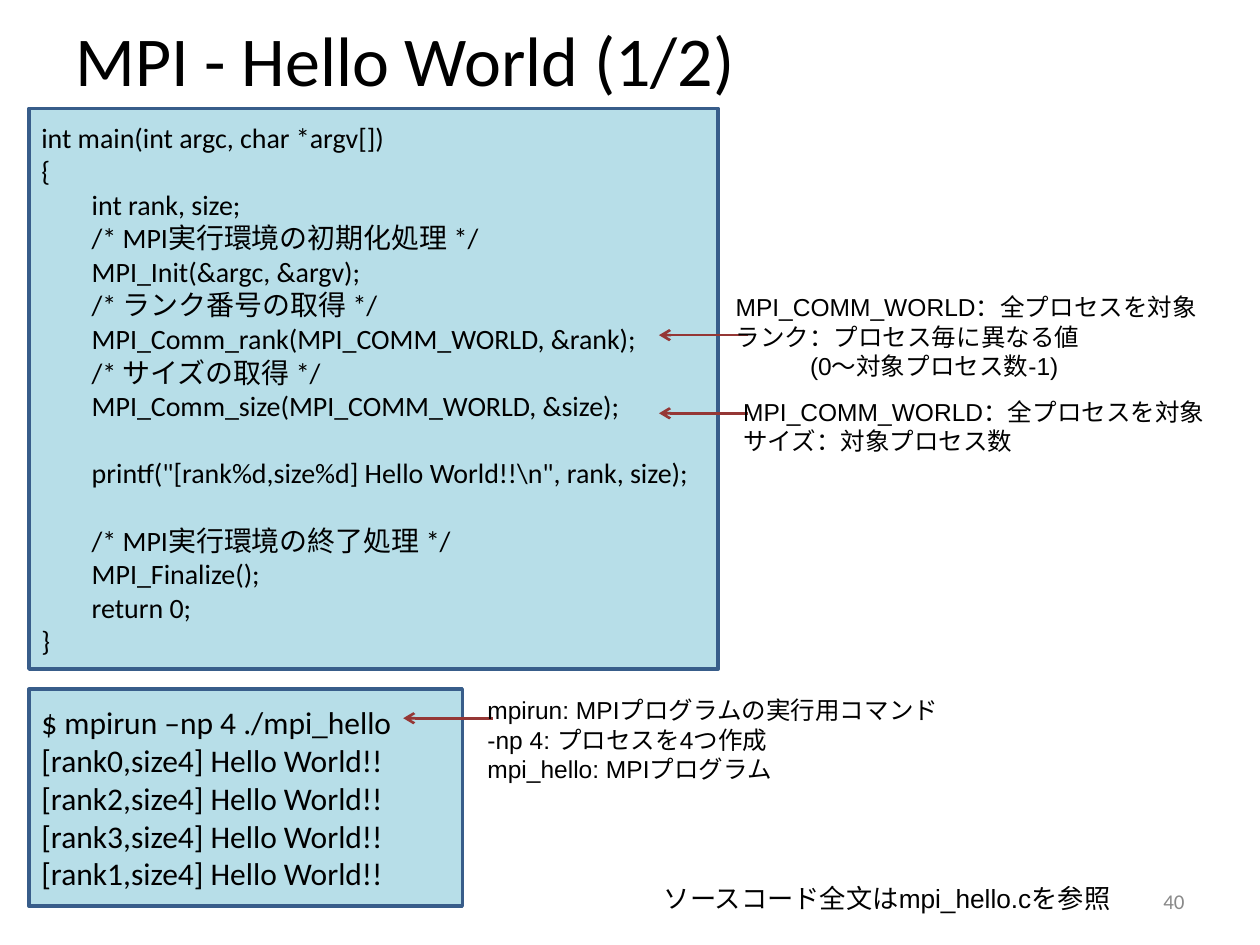
from pptx import Presentation
from pptx.dml.color import RGBColor
from pptx.enum.shapes import MSO_CONNECTOR as Connector, MSO_SHAPE as Shape
from pptx.enum.text import MSO_ANCHOR as Anchor, MSO_AUTO_SIZE as AutoSize, PP_ALIGN as Align
from pptx.oxml.ns import qn
from pptx.util import Inches, Pt
from lxml.etree import SubElement

BLACK = RGBColor(0x00, 0x00, 0x00)
GRAY = RGBColor(0x89, 0x89, 0x89)
PALE_BLUE = RGBColor(0xB7, 0xDE, 0xE8)
BORDER_BLUE = RGBColor(0x38, 0x5D, 0x8A)
DARK_RED = RGBColor(0x95, 0x37, 0x35)

SOURCE_CODE = r"""int main(int argc, char *argv[])
{
        int rank, size;
        /* MPI実行環境の初期化処理 */
        MPI_Init(&argc, &argv);
        /* ランク番号の取得 */
        MPI_Comm_rank(MPI_COMM_WORLD, &rank);
        /* サイズの取得 */
        MPI_Comm_size(MPI_COMM_WORLD, &size);

        printf("[rank%d,size%d] Hello World!!\n", rank, size);

        /* MPI実行環境の終了処理 */
        MPI_Finalize();
        return 0;
}"""

CONSOLE = """$ mpirun –np 4 ./mpi_hello
[rank0,size4] Hello World!!
[rank2,size4] Hello World!!
[rank3,size4] Hello World!!
[rank1,size4] Hello World!!"""

RANK_NOTE = """MPI_COMM_WORLD：全プロセスを対象
ランク：プロセス毎に異なる値
(0～対象プロセス数-1)"""

SIZE_NOTE = """MPI_COMM_WORLD：全プロセスを対象
サイズ：対象プロセス数"""

RUN_NOTE = """mpirun: MPIプログラムの実行用コマンド
-np 4: プロセスを4つ作成
mpi_hello: MPIプログラム"""


def write_lines(frame, text, size, font="Calibri", color=BLACK, align=Align.LEFT):
    for index, line in enumerate(text.split("\n")):
        para = frame.paragraphs[0] if index == 0 else frame.add_paragraph()
        para.text = line
        para.alignment = align
        para.font.size = Pt(size)
        para.font.name = font
        para.font.color.rgb = color


def add_code_box(slide, left, top, width, height, text, size):
    box = slide.shapes.add_shape(
        Shape.RECTANGLE, Inches(left), Inches(top), Inches(width), Inches(height))
    box.shadow.inherit = False
    box.fill.solid()
    box.fill.fore_color.rgb = PALE_BLUE
    box.line.color.rgb = BORDER_BLUE
    box.line.width = Pt(2)
    box.text_frame.vertical_anchor = Anchor.MIDDLE
    write_lines(box.text_frame, text, size)


def add_label(slide, left, top, width, height, text, size, **style):
    box = slide.shapes.add_textbox(
        Inches(left), Inches(top), Inches(width), Inches(height))
    frame = box.text_frame
    frame.word_wrap = True
    frame.vertical_anchor = Anchor.MIDDLE
    write_lines(frame, text, size, **style)


def add_note(slide, left, top, width, height, text, size=14):
    box = slide.shapes.add_textbox(
        Inches(left), Inches(top), Inches(width), Inches(height))
    frame = box.text_frame
    frame.word_wrap = False
    frame.auto_size = AutoSize.SHAPE_TO_FIT_TEXT
    write_lines(frame, text, size, font="Arial")
    return frame


def indent(para, distance):
    para._p.get_or_add_pPr().set("marL", str(Inches(distance)))


def add_arrow(slide, tip, y, length=0.71):
    arrow = slide.shapes.add_connector(
        Connector.STRAIGHT, Inches(tip + length), Inches(y), Inches(tip), Inches(y))
    arrow.line.color.rgb = DARK_RED
    arrow.line.width = Pt(1.5)
    SubElement(arrow.line._get_or_add_ln(), qn("a:tailEnd"), type="arrow")
    SubElement(arrow._element.spPr, qn("a:effectLst"))


def main():
    deck = Presentation()
    deck.slide_width, deck.slide_height = Inches(10), Inches(7.5)
    slide = deck.slides.add_slide(deck.slide_layouts[6])

    add_code_box(slide, 0.23, 5.47, 3.44, 1.72, CONSOLE, 18)
    add_code_box(slide, 0.23, 0.86, 5.47, 4.45, SOURCE_CODE, 16)
    add_label(slide, 0.5, 0, 9, 0.93, "MPI - Hello World (1/2)", 40)
    add_label(slide, 7.17, 6.95, 2.33, 0.4, "40", 12, color=GRAY, align=Align.RIGHT)

    for tip, y in ((5.23, 2.66), (5.23, 3.28), (3.2, 5.7)):
        add_arrow(slide, tip, y)

    rank_frame = add_note(slide, 5.74, 2.27, 3.91, 0.8, RANK_NOTE)
    indent(rank_frame.paragraphs[-1], 0.59)
    add_note(slide, 5.8, 3.1, 3.91, 0.57, SIZE_NOTE)
    add_note(slide, 3.77, 5.47, 3.83, 0.8, RUN_NOTE)
    add_note(slide, 5.17, 6.95, 3.85, 0.35, "ソースコード全文はmpi_hello.cを参照", 15)

    deck.save("out.pptx")


if __name__ == "__main__":
    main()
